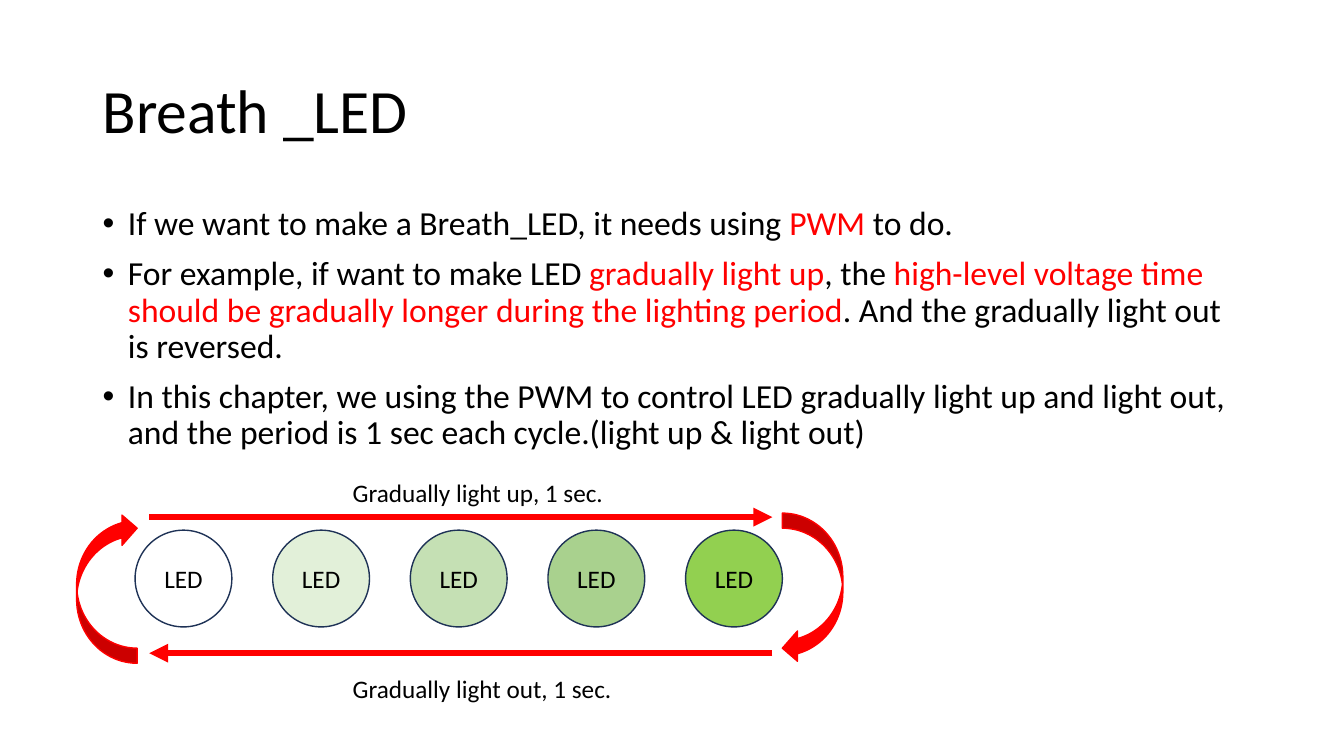
from pptx import Presentation
from pptx.dml.color import RGBColor
from pptx.enum.shapes import MSO_CONNECTOR as Link, MSO_SHAPE as Kind
from pptx.enum.text import MSO_ANCHOR as Anchor, PP_ALIGN as Align
from pptx.oxml.ns import qn
from pptx.util import Emu, Inches, Pt
from lxml.etree import SubElement as sub

BLACK = RGBColor(0x00, 0x00, 0x00)
RED = RGBColor(0xFF, 0x00, 0x00)
NAVY = RGBColor(0x1E, 0x32, 0x56)
GREENS = [RGBColor.from_string(code) for code in
          ("FFFFFF", "E2F0D9", "C5E0B4", "A9D18E", "92D050")]

TITLE = "Breath _LED"
# Every second run of a point is red.
POINTS = [
    ["If we want to make a Breath_LED, it needs using ", "PWM", " to do."],
    ["For example, if want to make LED ", "gradually light up", ", the ",
     "high-level voltage time should be gradually longer during the lighting period",
     ". And the gradually light out is reversed."],
    ["In this chapter, we using the PWM to control LED gradually light up and "
     "light out, and the period is 1 sec each cycle.(light up & light out)"],
]


def apply(item, form):
    for name, value in form.items():
        setattr(item, name, value)


def write(para, text, size, color=BLACK):
    run = para.add_run()
    run.text = text
    apply(run.font, {"name": "Calibri", "size": Pt(size)})
    run.font.color.rgb = color


def add_text(slide, box, anchor=Anchor.TOP):
    frame = slide.shapes.add_textbox(*map(Inches, box)).text_frame
    apply(frame, {"word_wrap": True, "vertical_anchor": anchor})
    return frame


def add_solid(slide, kind, box, fill, line):
    shape = slide.shapes.add_shape(kind, *map(Inches, box))
    shape.shadow.inherit = False
    shape.fill.solid()
    shape.fill.fore_color.rgb = fill
    shape.line.color.rgb = line
    shape.line.width = Pt(1)
    return shape


def add_title(slide, box):
    para = add_text(slide, box, Anchor.MIDDLE).paragraphs[0]
    para.line_spacing = 0.9
    write(para, TITLE, 44)


def add_points(slide, box):
    frame = add_text(slide, box)
    for i, runs in enumerate(POINTS):
        para = frame.add_paragraph() if i else frame.paragraphs[0]
        apply(para, {"line_spacing": 0.9, "space_before": Pt(10)})
        props = para._p.get_or_add_pPr()
        props.set("marL", str(Inches(0.25)))
        props.set("indent", str(Inches(-0.25)))
        sub(props, qn("a:buFont")).set("typeface", "Arial")
        sub(props, qn("a:buChar")).set("char", "•")
        for j, text in enumerate(runs):
            write(para, text, 24, RED if j % 2 else BLACK)


def add_arrow(slide, start, end, y):
    line = slide.shapes.add_connector(
        Link.STRAIGHT, Inches(start), Inches(y), Inches(end), Inches(y))
    line.line.color.rgb = RED
    line.line.width = Pt(4.5)
    sub(line.line._get_or_add_ln(), qn("a:tailEnd")).set("type", "triangle")
    sub(line._element.spPr, qn("a:effectLst"))


def add_cycle(slide, box):
    """Row of LEDs growing brighter, ringed by arrows and two labels."""
    left, top, width, height = box
    size, bend = 0.96, 0.6
    first, step = left + 0.58, 1.365
    for i, green in enumerate(GREENS):
        led = add_solid(slide, Kind.OVAL,
                        (first + i * step, top + 0.57, size, size), green, NAVY)
        frame = led.text_frame
        frame.vertical_anchor = Anchor.MIDDLE
        frame.paragraphs[0].alignment = Align.CENTER
        write(frame.paragraphs[0], "LED", 18)

    near, far = left + 0.72, left + width - 0.7
    add_arrow(slide, near, far, top + 0.44)
    add_arrow(slide, far, near, top + 1.79)
    for x, turn in ((left + width - bend, 0), (left, 180)):
        curve = add_solid(slide, Kind.CURVED_LEFT_ARROW,
                          (x, top + 0.4, bend, 1.49), RED, RED)
        curve.rotation = turn

    for word, y in (("up", top), ("out", top + height - 0.4)):
        frame = add_text(slide, (left + 2.64, y, 3.13, 0.4))
        write(frame.paragraphs[0], f"Gradually light {word}, 1 sec.", 18)


def main():
    deck = Presentation()
    apply(deck, {"slide_width": Inches(13.33), "slide_height": Inches(7.5)})
    slide = deck.slides.add_slide(deck.slide_layouts[6])
    add_title(slide, (0.92, 0.4, 11.5, 1.45))
    add_points(slide, (0.92, 2, 11.5, 4.76))
    add_cycle(slide, (0.76, 4.69, 7.6, 2.34))
    deck.save("out.pptx")


if __name__ == "__main__":
    main()
